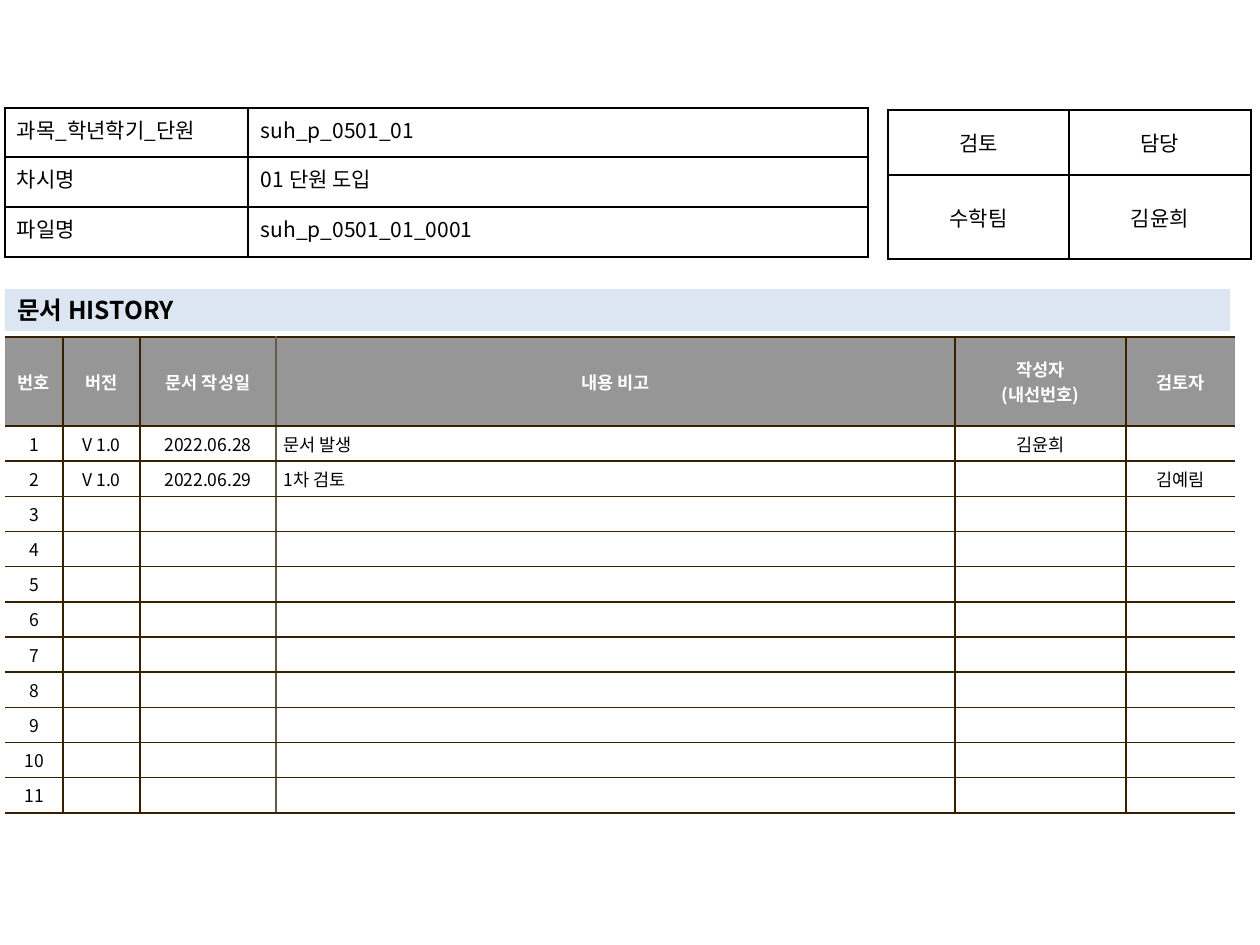
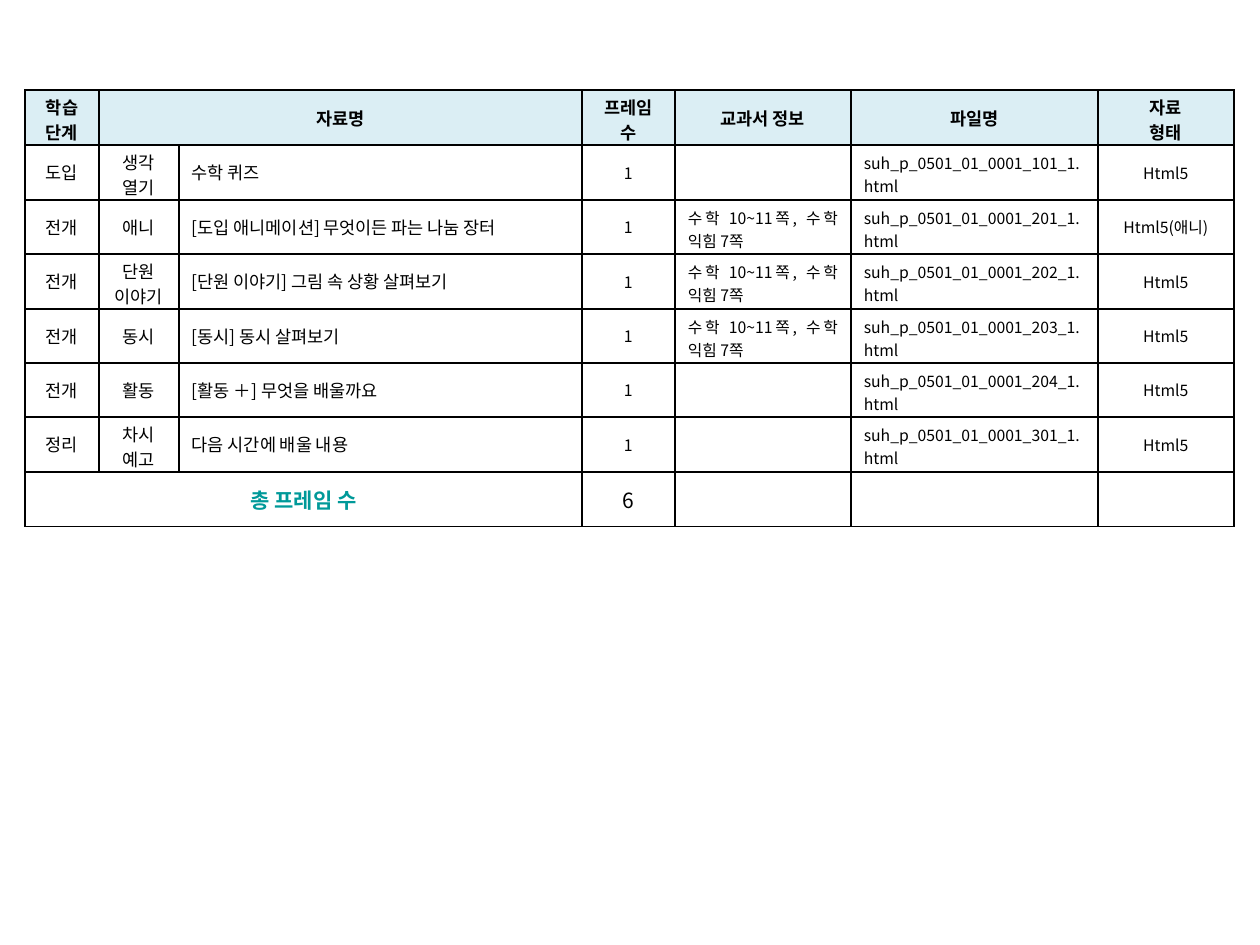
from dataclasses import dataclass, replace

from lxml import etree
from pptx import Presentation
from pptx.dml.color import RGBColor
from pptx.enum.shapes import MSO_SHAPE
from pptx.enum.text import MSO_ANCHOR, PP_ALIGN
from pptx.oxml.ns import qn
from pptx.util import Emu, Pt

PX = 914400 // 126
FONT = "Noto Sans CJK KR"
BLACK, WHITE = "000000", "FFFFFF"
BAND_BLUE, HEADER_BLUE, HEADER_GRAY = "DCE6F2", "DBEEF4", "969696"
BROWN, LIGHT_BROWN, TEAL = "362000", "645B4C", "009999"
LEFT, CENTER, JUSTIFY = PP_ALIGN.LEFT, PP_ALIGN.CENTER, PP_ALIGN.JUSTIFY
TOP, MIDDLE = MSO_ANCHOR.TOP, MSO_ANCHOR.MIDDLE
RECTANGLE = MSO_SHAPE.RECTANGLE
SIDES = ("lnL", "lnR", "lnT", "lnB")


@dataclass(frozen=True)
class CellStyle:
    size: int = 10
    bold: bool = False
    color: str = BLACK
    align: int = CENTER
    anchor: int = MIDDLE
    fill: str = ""
    margins: tuple = (13, 6, 6)  # sides, top, bottom


def px(length):
    return Emu(length * PX)


def rgb(color):
    return RGBColor.from_string(color)


def add_text(frame, text, style):
    """Write one paragraph for each line of the text."""
    for index, line in enumerate(text.split("\n")):
        paragraph = frame.paragraphs[0] if index == 0 else frame.add_paragraph()
        paragraph.alignment = style.align
        if not line:
            # An empty cell keeps its row as low as the text size asks
            etree.SubElement(paragraph._p, qn("a:endParaRPr"), sz=str(style.size * 100))
            continue
        run = paragraph.add_run()
        run.text = line
        run.font.size = Pt(style.size)
        run.font.bold = style.bold
        run.font.color.rgb = rgb(style.color)
        run.font.name = FONT
        etree.SubElement(run._r.get_or_add_rPr(), qn("a:ea"), typeface=FONT)


def set_borders(cell, colors):
    """Draw 1 pt borders; a side without a colour stays open."""
    properties = cell._tc.get_or_add_tcPr()
    for side, color in zip(SIDES, colors):
        line = etree.SubElement(properties, qn(f"a:{side}"), w=str(Pt(1)))
        if color:
            fill = etree.SubElement(line, qn("a:solidFill"))
            etree.SubElement(fill, qn("a:srgbClr"), val=color)
        else:
            etree.SubElement(line, qn("a:noFill"))


def add_grid(slide, left, top, columns, rows, texts, style_of, rules, merges=()):
    """Add a table; rules holds the colours of its vertical lines, then the horizontal one."""
    verticals, horizontal = rules
    table = slide.shapes.add_table(
        len(rows), len(columns), px(left), px(top), px(sum(columns)), px(sum(rows))
    ).table
    table.first_row = table.horz_banding = False
    for column, width in zip(table.columns, columns):
        column.width = px(width)
    for row, height in zip(table.rows, rows):
        row.height = px(height)
    for r, row_texts in enumerate(texts):
        for c, text in enumerate(row_texts):
            cell, style = table.cell(r, c), style_of(r, c)
            set_borders(cell, (verticals[c], verticals[c + 1], horizontal, horizontal))
            if style.fill:
                cell.fill.solid()
                cell.fill.fore_color.rgb = rgb(style.fill)
            else:
                cell.fill.background()
            cell.vertical_anchor = style.anchor
            side, above, below = style.margins
            cell.margin_left = cell.margin_right = px(side)
            cell.margin_top, cell.margin_bottom = px(above), px(below)
            add_text(cell.text_frame, text, style)
    for row, first, last in merges:
        table.cell(row, first).merge(table.cell(row, last))


def even_rules(count, color=BLACK):
    return [color] * (count + 1), color


def add_document_info(slide, left, top):
    texts = [
        ["과목_학년학기_단원", "suh_p_0501_01"],
        ["차시명", "01 단원 도입"],
        ["파일명", "suh_p_0501_01_0001"],
    ]
    label = CellStyle(size=12, align=JUSTIFY, anchor=TOP, margins=(12, 6, 6))
    styles = [label, replace(label, align=LEFT, margins=(13, 6, 6))]
    add_grid(slide, left, top, [243, 620], [49, 50, 50], texts,
             lambda r, c: styles[c], even_rules(2))


def add_review_box(slide, left, top):
    texts = [["검토", "담당"], ["수학팀", "김윤희"]]
    add_grid(slide, left, top, [181, 182], [65, 84], texts,
             lambda r, c: CellStyle(size=12), even_rules(2))


def add_band(slide, left, top, width, height, text):
    band = slide.shapes.add_shape(RECTANGLE, px(left), px(top), px(width), px(height))
    band.shadow.inherit = False
    band.fill.solid()
    band.fill.fore_color.rgb = rgb(BAND_BLUE)
    band.line.fill.background()
    band.text_frame.word_wrap = True
    band.text_frame.vertical_anchor = MIDDLE
    add_text(band.text_frame, text, CellStyle(size=14, bold=True, align=LEFT))


def add_history(slide, left, top):
    header = ["번호", "버전", "문서 작성일", "내용 비고", "작성자\n(내선번호)", "검토자"]
    entries = [
        ["V 1.0", "2022.06.28", "문서 발생", "김윤희", ""],
        ["V 1.0", "2022.06.29", "1차 검토", "", "김예림"],
    ]
    entry_count, note_column = 11, 3
    entries += [[""] * 5] * (entry_count - len(entries))
    texts = [header] + [[str(n), *entry] for n, entry in enumerate(entries, 1)]
    body = CellStyle(fill=WHITE, margins=(7, 5, 5))
    heading = replace(body, bold=True, color=WHITE, fill=HEADER_GRAY)
    note = replace(body, align=LEFT, margins=(8, 5, 5))

    def style_of(r, c):
        if r == 0:
            return heading
        return note if c == note_column else body

    verticals = ["", BROWN, BROWN, LIGHT_BROWN, BROWN, BROWN, ""]
    add_grid(slide, left, top, [58, 77, 136, 679, 171, 109], [89] + [35] * entry_count,
             texts, style_of, (verticals, BROWN))


def add_frame_list(slide, left, top):
    pages = "수학 10~11쪽, 수학 익힘 7쪽"
    # Stage, part, title, textbook pages, file number, type
    frames = [
        ("도입", "생각\n열기", "수학 퀴즈", "", 101, "Html5"),
        ("전개", "애니", "[도입 애니메이션] 무엇이든 파는 나눔 장터", pages, 201, "Html5(애니)"),
        ("전개", "단원\n이야기", "[단원 이야기] 그림 속 상황 살펴보기", pages, 202, "Html5"),
        ("전개", "동시", "[동시] 동시 살펴보기", pages, 203, "Html5"),
        ("전개", "활동", "[활동 ＋] 무엇을 배울까요", "", 204, "Html5"),
        ("정리", "차시 예고", "다음 시간에 배울 내용", "", 301, "Html5"),
    ]
    texts = [["학습 단계", "자료명", "", "프레임 수", "교과서 정보", "파일명", "자료\n형태"]]
    for stage, part, title, textbook, number, kind in frames:
        file_name = f"suh_p_0501_01_0001_{number}_1.html"
        texts.append([stage, part, title, "1", textbook, file_name, kind])
    texts.append(["총 프레임 수", "", "", str(len(frames)), "", "", ""])
    total_row = len(texts) - 1

    body, small = CellStyle(), CellStyle(size=9)
    heading = CellStyle(bold=True, fill=HEADER_BLUE)
    total = CellStyle(size=12)
    total_label = replace(total, bold=True, color=TEAL)
    # Two lines of text have to fit into the low rows
    tight = (13, 4, 0)
    justified = replace(small, align=JUSTIFY, margins=(13, 6, 2))
    columns = [body, body, replace(body, align=LEFT), small, justified, justified, small]
    two_line_cells = {(0, 0), (0, 3), (0, 6), (1, 1), (3, 1), (6, 1)}

    def style_of(r, c):
        if r == total_row:
            return total_label if c == 0 else total
        style = heading if r == 0 else columns[c]
        return replace(style, margins=tight) if (r, c) in two_line_cells else style

    add_grid(slide, left, top, [74, 80, 403, 93, 176, 247, 136],
             [55, 55, 54, 55, 54, 54, 55, 55], texts, style_of, even_rules(7),
             merges=[(0, 1, 2), (total_row, 0, 2)])


def build_history_slide(slide):
    add_history(slide, 5, 337)
    add_review_box(slide, 888, 110)
    add_band(slide, 5, 289, 1225, 42, "문서 HISTORY")
    add_document_info(slide, 5, 108)


def build_frame_slide(slide):
    add_frame_list(slide, 25, 90)


def main():
    presentation = Presentation()
    presentation.slide_width, presentation.slide_height = px(1260), px(945)
    blank = presentation.slide_layouts[6]
    for build in (build_history_slide, build_frame_slide):
        build(presentation.slides.add_slide(blank))
    presentation.save("out.pptx")


if __name__ == "__main__":
    main()
